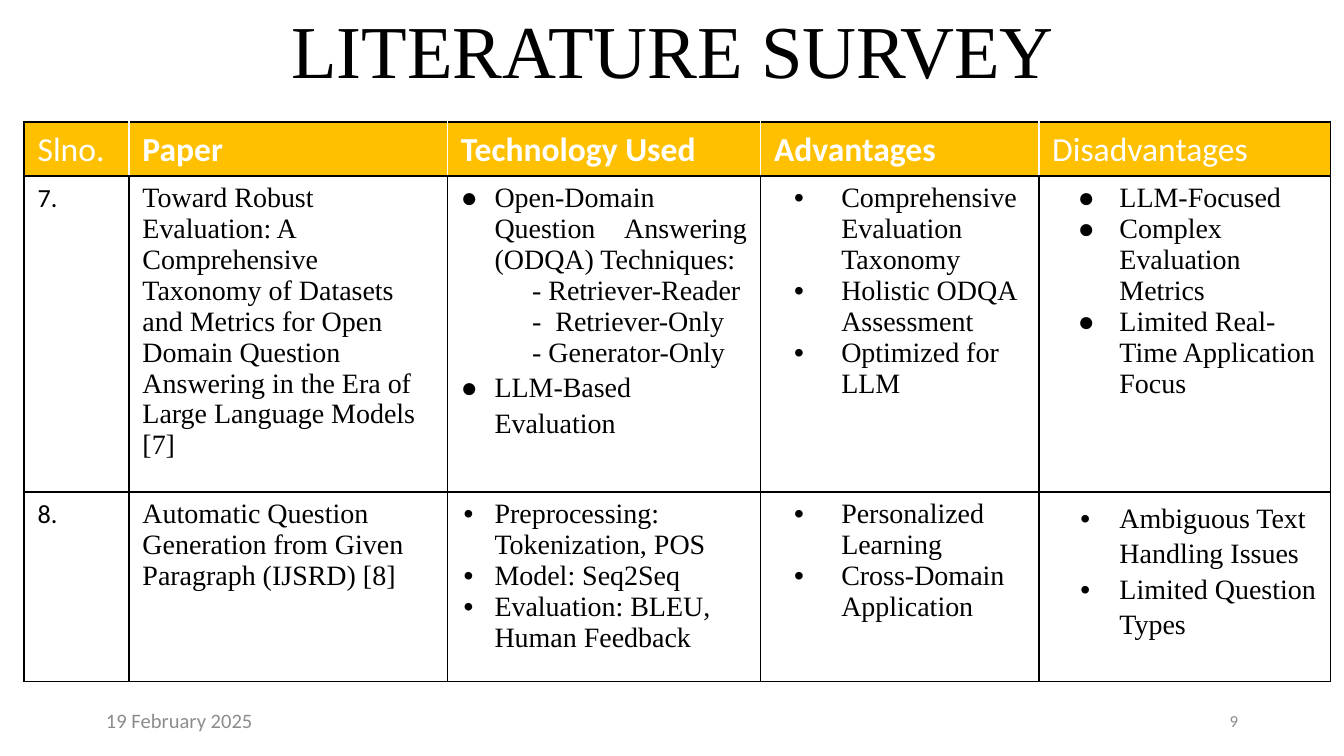
from lxml.etree import SubElement
from pptx import Presentation
from pptx.dml.color import RGBColor
from pptx.enum.text import MSO_ANCHOR, PP_ALIGN
from pptx.oxml import parse_xml
from pptx.oxml.ns import nsdecls, qn
from pptx.util import Inches, Pt

SERIF, SANS = "Times New Roman", "Calibri"
BLACK, WHITE, GRAY, AMBER = "000000", "FFFFFF", "8C8C8C", "FFC000"
LEFT, CENTER, RIGHT, JUSTIFY = (
    PP_ALIGN.LEFT, PP_ALIGN.CENTER, PP_ALIGN.RIGHT, PP_ALIGN.JUSTIFY)

BULLET_FONTS = {"●": SERIF, "•": "Arial"}
COLUMN_WIDTHS = [0.78, 2.37, 2.33, 2.07, 2.17]
ROW_HEIGHTS = [0.39, 2.1, 1.41]
HEADINGS = [("Slno.", False), ("Paper", True), ("Technology Used", True),
            ("Advantages", True), ("Disadvantages", False)]

DOT = dict(bullet="●", margin=0.25, hanging=0.26)
SUBITEM = dict(margin=0.53)
TECHNOLOGY = dict(bullet="•", margin=0.25, hanging=0.23)
ADVANTAGE = dict(bullet="•", margin=0.5, hanging=0.35)
WIDE_DOT = dict(bullet="●", margin=0.5, hanging=0.31)
LOOSE = dict(bullet="•", margin=0.5, hanging=0.29, spacing=1.15)

PAPERS = [
    ("7.",
     "Toward Robust Evaluation: A Comprehensive Taxonomy of Datasets and Metrics "
     "for Open Domain Question Answering in the Era of Large Language Models [7]",
     [("Open-Domain Question Answering (ODQA) Techniques:", dict(DOT, align=JUSTIFY)),
      ("- Retriever-Reader", SUBITEM),
      ("-  Retriever-Only", SUBITEM),
      ("- Generator-Only", SUBITEM),
      ("LLM-Based Evaluation", dict(DOT, spacing=1.15))],
     [("Comprehensive Evaluation Taxonomy", ADVANTAGE),
      ("Holistic ODQA Assessment", ADVANTAGE),
      ("Optimized for LLM", ADVANTAGE)],
     [("LLM-Focused", WIDE_DOT),
      ("Complex Evaluation Metrics", WIDE_DOT),
      ("Limited Real-Time Application Focus", WIDE_DOT)]),
    ("8.",
     "Automatic Question Generation from Given Paragraph (IJSRD) [8]",
     [("Preprocessing: Tokenization, POS", TECHNOLOGY),
      ("Model: Seq2Seq", TECHNOLOGY),
      ("Evaluation: BLEU, Human Feedback", TECHNOLOGY)],
     [("Personalized Learning", ADVANTAGE),
      ("Cross-Domain Application", ADVANTAGE)],
     [("Ambiguous Text Handling Issues", LOOSE),
      ("Limited Question Types", LOOSE)]),
]


def rgb(color):
    return RGBColor.from_string(color)


def write_text(paragraph, text, size=15, font=SERIF, color=BLACK, bold=False,
               align=LEFT, bullet=None, margin=0, hanging=0, spacing=None):
    run = paragraph.add_run()
    run.text = text
    run.font.size = Pt(size)
    run.font.name = font
    run.font.bold = bold
    run.font.color.rgb = rgb(color)
    paragraph.alignment = align
    if spacing:
        paragraph.line_spacing = spacing
    properties = paragraph._p.get_or_add_pPr()
    properties.set("marL", str(Inches(margin)))
    properties.set("indent", str(Inches(-hanging)))
    if bullet:
        bullet_color = SubElement(properties, qn("a:buClr"))
        SubElement(bullet_color, qn("a:srgbClr"), val=color)
        SubElement(properties, qn("a:buFont"), typeface=BULLET_FONTS[bullet])
        SubElement(properties, qn("a:buChar"), char=bullet)


def write_list(cell, items):
    for index, (text, style) in enumerate(items):
        frame = cell.text_frame
        paragraph = frame.add_paragraph() if index else frame.paragraphs[0]
        write_text(paragraph, text, **style)


def add_label(slide, box, text, **style):
    label = slide.shapes.add_textbox(*map(Inches, box))
    label.text_frame.word_wrap = True
    label.text_frame.vertical_anchor = MSO_ANCHOR.MIDDLE
    write_text(label.text_frame.paragraphs[0], text, **style)


def set_borders(cell, left=BLACK, right=BLACK):
    sides = [("L", left), ("R", right), ("T", BLACK), ("B", BLACK)]
    for position, (side, color) in enumerate(sides):
        border = parse_xml(
            f'<a:ln{side} {nsdecls("a")} w="{Pt(1)}"><a:solidFill>'
            f'<a:srgbClr val="{color}"/></a:solidFill></a:ln{side}>')
        cell._tc.get_or_add_tcPr().insert(position, border)


def add_header_row(table):
    last = len(HEADINGS) - 1
    for column, (heading, bold) in enumerate(HEADINGS):
        cell = table.cell(0, column)
        cell.fill.solid()
        cell.fill.fore_color.rgb = rgb(AMBER)
        set_borders(cell, left=WHITE if column else BLACK,
                    right=WHITE if column < last else BLACK)
        write_text(cell.text_frame.paragraphs[0], heading, size=18, font=SANS,
                   color=WHITE, bold=bold, align=JUSTIFY)


def add_paper_row(table, row, number, title, *lists):
    contents = [[(number, dict(size=14, font=SANS, align=JUSTIFY))],
                [(title, {})], *lists]
    for column, items in enumerate(contents):
        cell = table.cell(row, column)
        cell.fill.background()
        set_borders(cell)
        write_list(cell, items)


def add_survey_table(slide, left, top):
    table = slide.shapes.add_table(
        len(ROW_HEIGHTS), len(COLUMN_WIDTHS), Inches(left), Inches(top),
        Inches(sum(COLUMN_WIDTHS)), Inches(sum(ROW_HEIGHTS))).table
    table.first_row = False
    table.horz_banding = False
    for column, width in zip(table.columns, COLUMN_WIDTHS):
        column.width = Inches(width)
    for row, height in zip(table.rows, ROW_HEIGHTS):
        row.height = Inches(height)
    add_header_row(table)
    for row, paper in enumerate(PAPERS, start=1):
        add_paper_row(table, row, *paper)


def add_footer(slide, left, top, width, height):
    label_width = 2.25
    add_label(slide, (left, top, label_width, height), "19 February 2025",
              size=11, font=SANS, color=GRAY)
    add_label(slide, (left + width - label_width, top, label_width, height), "9",
              size=9, font=SANS, color=GRAY, align=RIGHT)


def main():
    presentation = Presentation()
    presentation.slide_width = Inches(10)
    presentation.slide_height = Inches(10 * 9 / 16)
    slide = presentation.slides.add_slide(presentation.slide_layouts[6])
    add_label(slide, (0.53, 0, 8.95, 0.72), "LITERATURE SURVEY", size=40, align=CENTER)
    add_footer(slide, 0.69, 5.21, 8.62, 0.3)
    add_survey_table(slide, 0.18, 0.91)
    presentation.save("out.pptx")


if __name__ == "__main__":
    main()
